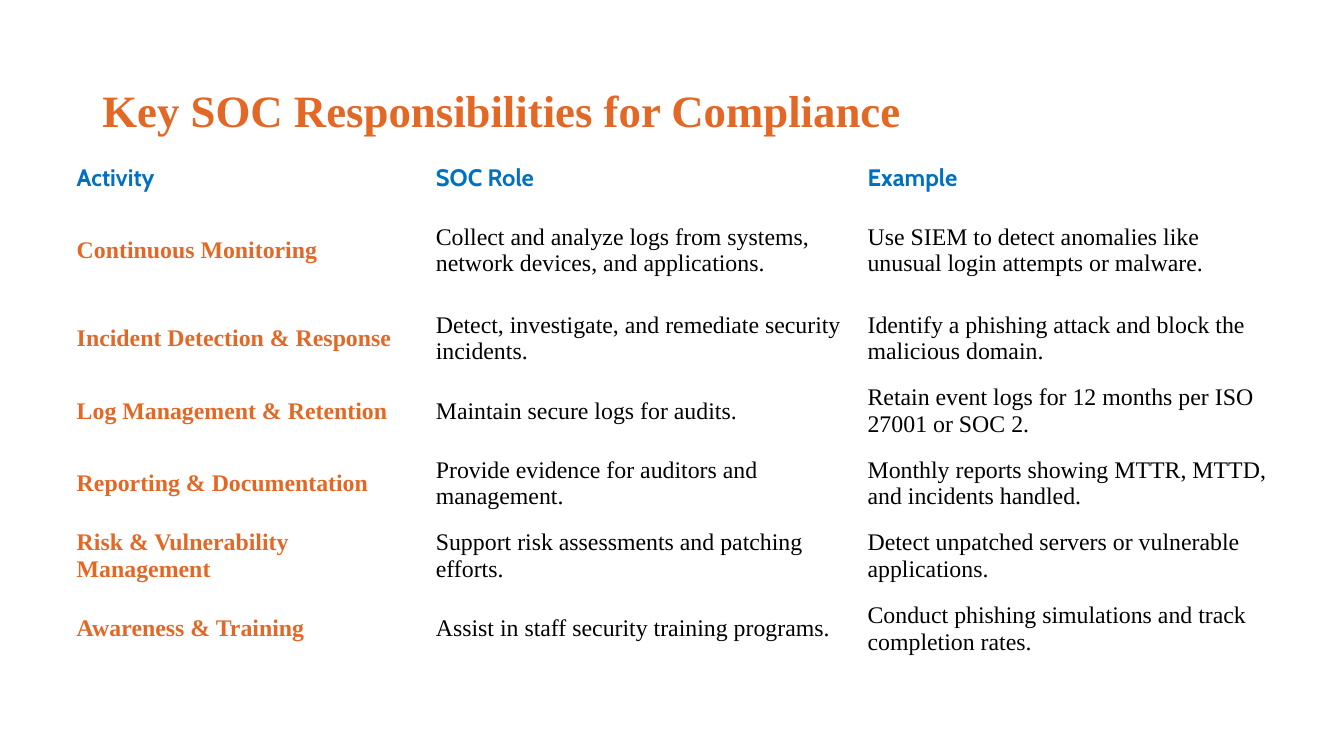
from dataclasses import dataclass

from pptx import Presentation
from pptx.dml.color import RGBColor
from pptx.enum.text import MSO_ANCHOR
from pptx.util import Cm, Pt

MIDDLE = MSO_ANCHOR.MIDDLE


@dataclass(frozen=True)
class Theme:
    accent: str = "E46825"
    header: str = "0070C0"
    body: str = "000000"
    serif: str = "Times New Roman"
    sans: str = "Cabin"
    title_size: int = 32
    table_size: int = 17


THEME = Theme()

TITLE = "Key SOC Responsibilities for Compliance"
HEADINGS = ("Activity", "SOC Role", "Example")
RESPONSIBILITIES = (
    ("Continuous Monitoring",
     "Collect and analyze logs from systems, network devices, and applications.",
     "Use SIEM to detect anomalies like unusual login attempts or malware."),
    ("Incident Detection & Response",
     "Detect, investigate, and remediate security incidents.",
     "Identify a phishing attack and block the malicious domain."),
    ("Log Management & Retention",
     "Maintain secure logs for audits.",
     "Retain event logs for 12 months per ISO 27001 or SOC 2."),
    ("Reporting & Documentation",
     "Provide evidence for auditors and management.",
     "Monthly reports showing MTTR, MTTD, and incidents handled."),
    ("Risk & Vulnerability Management",
     "Support risk assessments and patching efforts.",
     "Detect unpatched servers or vulnerable applications."),
    ("Awareness & Training",
     "Assist in staff security training programs.",
     "Conduct phishing simulations and track completion rates."),
)

# Sizes in centimetres
COLUMN_WIDTHS = (9.05, 10.88, 10.88)
HEADER_HEIGHT, FIRST_HEIGHT, ROW_HEIGHT = 1.04, 2.61, 1.83


def write(frame, text, *, size=THEME.table_size, font=THEME.serif,
          color=THEME.body, bold=False, line_spacing=None):
    """Put one formatted paragraph into a text frame."""
    paragraph = frame.paragraphs[0]
    paragraph.line_spacing = line_spacing
    run = paragraph.add_run()
    run.text = text
    run.font.size = Pt(size)
    run.font.name = font
    run.font.bold = bold
    run.font.color.rgb = RGBColor.from_string(color)


def add_title(slide, left, top, width, height):
    heading = slide.shapes.add_textbox(Cm(left), Cm(top), Cm(width), Cm(height))
    frame = heading.text_frame
    frame.word_wrap = True
    frame.vertical_anchor = MIDDLE
    write(frame, TITLE, size=THEME.title_size, color=THEME.accent,
          bold=True, line_spacing=0.9)


def add_responsibilities(slide, left, top, width, height):
    rows = (HEADINGS, *RESPONSIBILITIES)
    grid = slide.shapes.add_table(len(rows), len(HEADINGS), Cm(left), Cm(top),
                                  Cm(width), Cm(height)).table
    grid.first_row = False
    grid.horz_banding = False

    # Column widths and row heights
    for column, column_width in zip(grid.columns, COLUMN_WIDTHS):
        column.width = Cm(column_width)
    heights = [HEADER_HEIGHT, FIRST_HEIGHT] + [ROW_HEIGHT] * (len(rows) - 2)
    for row, row_height in zip(grid.rows, heights):
        row.height = Cm(row_height)

    # Cell text: blue headings, orange activities, black details
    for r, texts in enumerate(rows):
        for c, text in enumerate(texts):
            cell = grid.cell(r, c)
            cell.fill.background()
            cell.vertical_anchor = MIDDLE
            if r == 0:
                look = {"font": THEME.sans, "color": THEME.header, "bold": True}
            elif c == 0:
                look = {"color": THEME.accent, "bold": True}
            else:
                look = {}
            write(cell.text_frame, text, **look)


def main():
    deck = Presentation()
    deck.slide_width, deck.slide_height = Cm(33.87), Cm(19.05)
    slide = deck.slides.add_slide(deck.slide_layouts[6])
    add_title(slide, 2.33, 1.02, 29.21, 3.68)
    add_responsibilities(slide, 1.68, 3.96, sum(COLUMN_WIDTHS), 12.8)
    deck.save("out.pptx")


if __name__ == "__main__":
    main()
